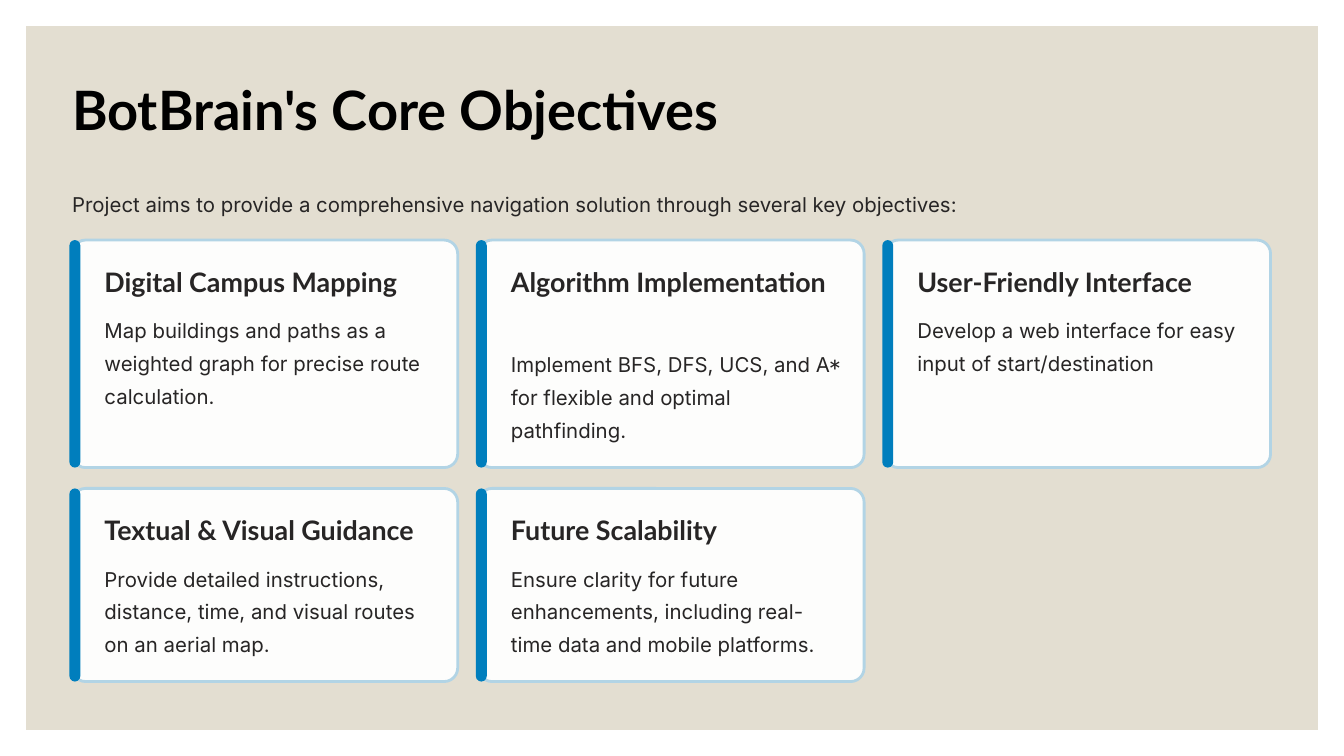
from lxml.etree import SubElement
from pptx import Presentation
from pptx.dml.color import RGBColor
from pptx.enum.shapes import MSO_SHAPE as Shape
from pptx.oxml.ns import qn
from pptx.util import Cm, Pt

TITLE = "BotBrain's Core Objectives"
INTRO = "Project aims to provide a comprehensive navigation solution through several key objectives:"
CARD_ROWS = [
    (6.88, [
        ("Digital Campus Mapping", 1,
         "Map buildings and paths as a weighted graph for precise route calculation."),
        ("Algorithm Implementation", 2,
         "Implement BFS, DFS, UCS, and A* for flexible and optimal pathfinding."),
        ("User-Friendly Interface", 1,
         "Develop a web interface for easy input of start/destination"),
    ]),
    (5.84, [
        ("Textual & Visual Guidance", 1,
         "Provide detailed instructions, distance, time, and visual routes on an aerial map."),
        ("Future Scalability", 1,
         "Ensure clarity for future enhancements, including real-time data and mobile platforms."),
    ]),
]

THEME = {
    "panel": "E3DED1", "card": "FFFFFF", "border": "B2D4E5", "bar": "007EBD",
    "title": ("Lato", 46.5, 58, True, "000000"),
    "heading": ("Lato", 23, 29, True, "272525"),
    "body": ("Inter", 17.5, 28, False, "272525"),
}

SLIDE_W, SLIDE_H = 40.64, 22.86
MARGIN, LEFT, CARDS_TOP = 0.79, 2.18, 7.26
CARD_W, GAP, RADIUS = 11.66, 0.63, 0.41
BAR_W, BAR_SHIFT = 0.33, 0.08
PAD_X, PAD_Y, TEXT_W = 0.98, 0.71, 10
HEAD_LINE, HEAD_GAP, BODY_H = 1.03, 0.38, 3.02


def add_box(slide, kind, x, y, w, h, fill, radius=None):
    sp = slide.shapes.add_shape(kind, Cm(x), Cm(y), Cm(w), Cm(h))
    sp.shadow.inherit = False
    sp.fill.solid()
    sp.fill.fore_color.rgb = RGBColor.from_string(THEME[fill])
    sp.line.fill.background()
    if radius is not None:
        sp.adjustments[0] = radius / min(w, h)
    return sp


def add_text(slide, text, style, x, y, w, h, wrap=True):
    font, size, spacing, bold, color = THEME[style]
    tf = slide.shapes.add_textbox(Cm(x), Cm(y), Cm(w), Cm(h)).text_frame
    tf.margin_left = tf.margin_right = tf.margin_top = tf.margin_bottom = 0
    tf.word_wrap = wrap
    tf.text = text
    p = tf.paragraphs[0]
    p.line_spacing = Pt(spacing)
    r = p.runs[0]
    r.font.name, r.font.size, r.font.bold = font, Pt(size), bold
    r.font.color.rgb = RGBColor.from_string(color)


def add_card(slide, x, y, h, heading, head_lines, body):
    sp = add_box(slide, Shape.ROUNDED_RECTANGLE, x, y, CARD_W, h, "card", RADIUS)
    color = sp.fill._xPr.find(qn("a:solidFill"))[0]
    SubElement(color, qn("a:alpha"), val="95000")
    sp.line.color.rgb = RGBColor.from_string(THEME["border"])
    sp.line.width = Pt(2.4)
    add_box(slide, Shape.ROUNDED_RECTANGLE, x - BAR_SHIFT, y, BAR_W, h, "bar", BAR_W / 2)
    head_h = head_lines * HEAD_LINE
    text_x, head_y = x + PAD_X, y + PAD_Y
    add_text(slide, heading, "heading", text_x, head_y, TEXT_W, head_h)
    add_text(slide, body, "body", text_x, head_y + head_h + HEAD_GAP, TEXT_W, BODY_H)


def main():
    prs = Presentation()
    prs.slide_width, prs.slide_height = Cm(SLIDE_W), Cm(SLIDE_H)
    slide = prs.slides.add_slide(prs.slide_layouts[6])
    add_box(slide, Shape.RECTANGLE, MARGIN, MARGIN,
            SLIDE_W - 2 * MARGIN, SLIDE_H - 2 * MARGIN, "panel")
    add_text(slide, TITLE, "title", LEFT, 2.24, 19.79, 2.06, wrap=False)
    add_text(slide, INTRO, "body", LEFT, 5.56, 36.25, 1.02, wrap=False)
    y = CARDS_TOP
    for height, cards in CARD_ROWS:
        for col, card in enumerate(cards):
            add_card(slide, LEFT + col * (CARD_W + GAP), y, height, *card)
        y += height + GAP
    prs.save("out.pptx")


if __name__ == "__main__":
    main()
